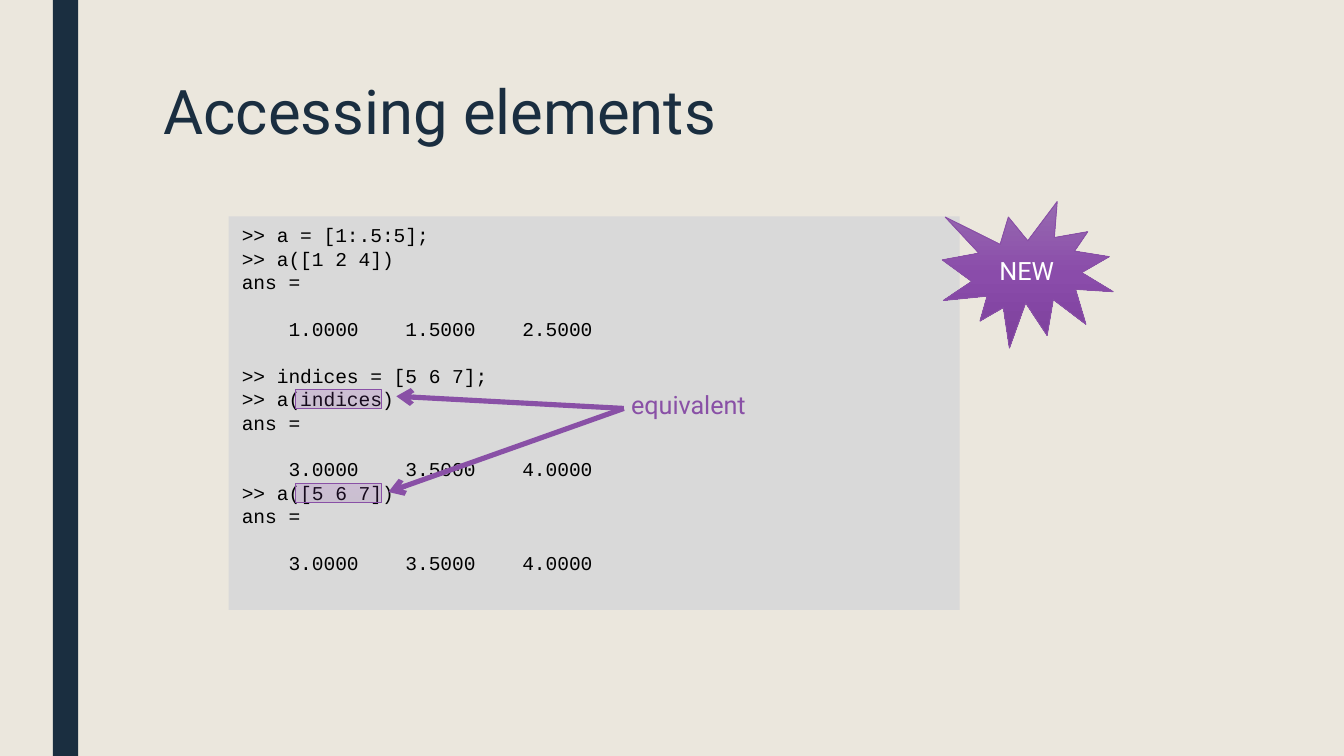
from lxml.etree import SubElement
from pptx import Presentation
from pptx.dml.color import RGBColor
from pptx.enum.shapes import MSO_CONNECTOR, MSO_SHAPE
from pptx.enum.text import MSO_ANCHOR, PP_ALIGN
from pptx.oxml.ns import qn
from pptx.util import Cm, Pt

HUES = {
    "back": "EBE7DD", "navy": "1A2E40", "panel": "D9D9D9", "ink": "000000",
    "plum": "8950A6", "white": "FFFFFF", "deep": "8146A3", "vivid": "903BBC",
    "light": "976AB0", "mid": "8A4CAA", "dark": "7C3F9B",
}
CODE = """>> a = [1:.5:5];
>> a([1 2 4])
ans =

    1.0000    1.5000    2.5000

>> indices = [5 6 7];
>> a(indices)
ans =

    3.0000    3.5000    4.0000
>> a([5 6 7])
ans =

    3.0000    3.5000    4.0000"""


def tint(name):
    """Return the named colour."""
    return RGBColor.from_string(HUES[name])


def style(para, size, hue, face="Roboto"):
    """Format every run of a paragraph."""
    for run in para.runs:
        run.font.size = Pt(size)
        run.font.name = face
        run.font.color.rgb = tint(hue)


def block(slide, box, kind=MSO_SHAPE.RECTANGLE, fill=None, line=None):
    """Add a preset shape with a plain fill and an optional outline."""
    shape = slide.shapes.add_shape(kind, *map(Cm, box))
    shape.shadow.inherit = False
    if fill:
        shape.fill.solid()
        shape.fill.fore_color.rgb = tint(fill)
    if line:
        shape.line.color.rgb = tint(line)
        shape.line.width = Pt(0.5)
    else:
        shape.line.fill.background()
    return shape


def blend(shape, hues, angle, alpha=100):
    """Fill a shape with evenly spaced gradient stops."""
    shape.fill.gradient()
    shape.fill.gradient_angle = 360 - angle
    stops = shape._element.spPr.find(".//" + qn("a:gsLst"))
    for old in list(stops):
        stops.remove(old)
    for i, hue in enumerate(hues):
        pos = 100000 * i // (len(hues) - 1)
        stop = SubElement(stops, qn("a:gs"), pos=str(pos))
        color = SubElement(stop, qn("a:srgbClr"), val=HUES[hue])
        if alpha < 100:
            SubElement(color, qn("a:alpha"), val=str(alpha * 1000))


def label(slide, box, text, size, hue):
    """Add a wrapped line of text and return its paragraph."""
    frame = slide.shapes.add_textbox(*map(Cm, box)).text_frame
    frame.word_wrap = True
    frame.text = text
    style(frame.paragraphs[0], size, hue)
    return frame.paragraphs[0]


def arrow(slide, start, end):
    """Draw a thick line with an open arrowhead at its end."""
    link = slide.shapes.add_connector(MSO_CONNECTOR.STRAIGHT, *map(Cm, start + end))
    link.line.color.rgb = tint("plum")
    link.line.width = Pt(2.75)
    SubElement(link.line._get_or_add_ln(), qn("a:tailEnd"), type="arrow")
    SubElement(link._element.spPr, qn("a:effectLst"))


def listing(slide, box):
    """Place the code panel, turning empty lines into spacing."""
    frame = block(slide, box, fill="panel").text_frame
    frame.word_wrap = True
    frame.vertical_anchor = MSO_ANCHOR.TOP
    lines = CODE.split("\n")
    frame.text = "\n".join(filter(None, lines))
    gaps = [not prior for prior, line in zip([">>"] + lines, lines) if line]
    for para, gap in zip(frame.paragraphs, gaps):
        para.alignment = PP_ALIGN.LEFT
        style(para, 10.5, "ink", "Courier New")
        if gap:
            para.space_before = Pt(12.5)


def notes(slide, box):
    """Mark the two equal arguments and point at them."""
    left, top = box[:2]
    for drop in (3.28, 5.05):
        mark = block(slide, (left + 1.27, top + drop, 1.63, 0.36), line="plum")
        blend(mark, ("deep", "vivid"), 270, 16)
    for x, y in ((3.17, 3.4), (3.02, 5.21)):
        arrow(slide, (left + 7.47, top + 3.63), (left + x, top + y))
    label(slide, (left + 7.36, top + 3.15, 3.12, 0.84), "equivalent", 13.5, "plum")


def badge(slide, box):
    """Place the starburst."""
    star = block(slide, box, MSO_SHAPE.EXPLOSION1, line="plum")
    blend(star, ("light", "mid", "dark"), 90)
    frame = star.text_frame
    frame.text = "NEW"
    frame.vertical_anchor = MSO_ANCHOR.MIDDLE
    frame.paragraphs[0].alignment = PP_ALIGN.CENTER
    style(frame.paragraphs[0], 13.5, "white")


def main():
    """Build and save the slide."""
    deck = Presentation()
    deck.slide_width, deck.slide_height = Cm(25.4), Cm(14.29)
    slide = deck.slides.add_slide(deck.slide_layouts[6])
    slide.background.fill.solid()
    slide.background.fill.fore_color.rgb = tint("back")
    block(slide, (1, 0, 0.48, 14.29), fill="navy")
    title = label(slide, (2.84, 1.42, 20.02, 3.1), "Accessing elements", 33, "navy")
    title.line_spacing = 0.89
    panel = (4.32, 4.09, 13.82, 7.44)
    listing(slide, panel)
    notes(slide, panel)
    badge(slide, (17.81, 3.81, 3.23, 2.77))
    deck.save("out.pptx")


if __name__ == "__main__":
    main()
